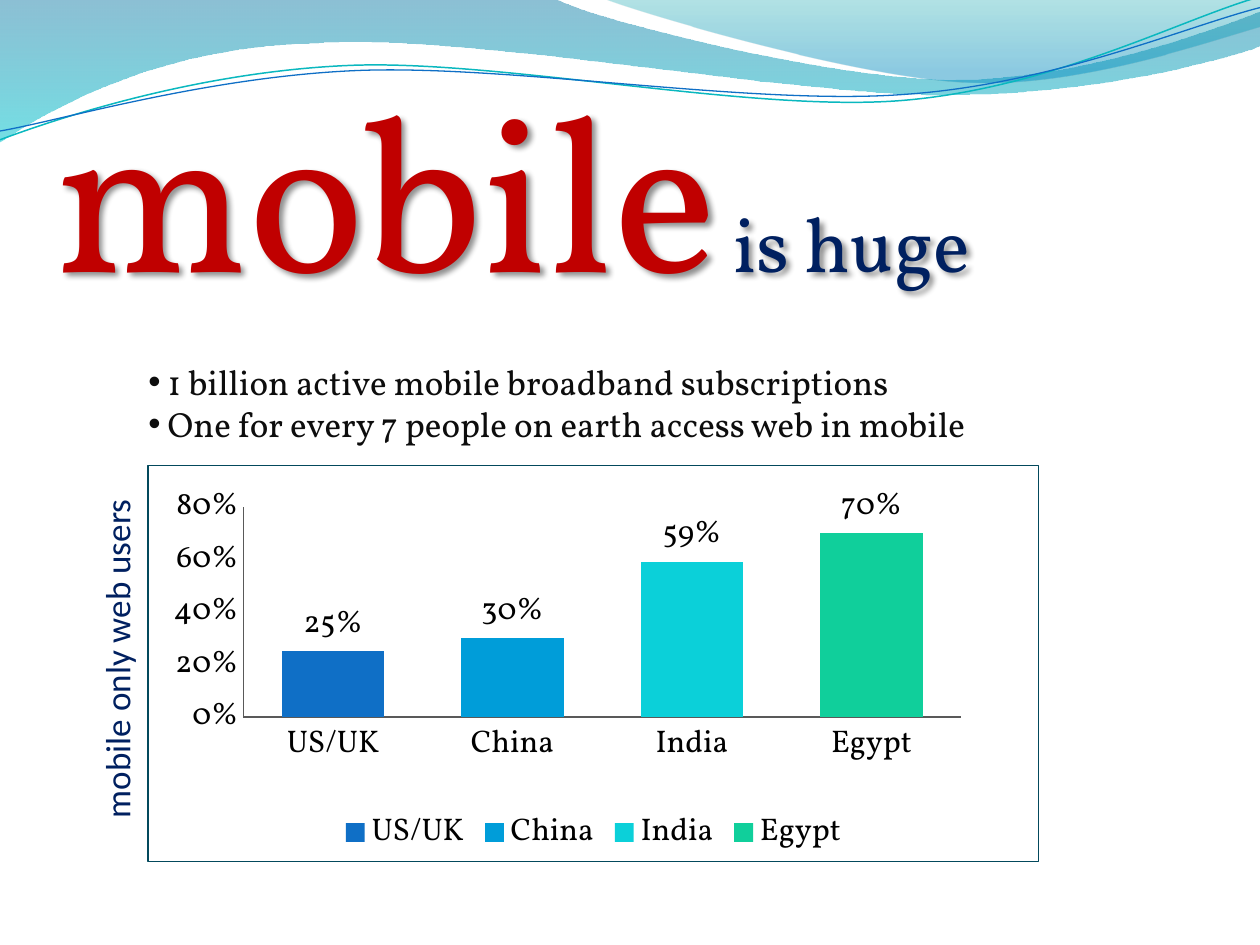
from dataclasses import dataclass
from math import cos, radians, sin

from lxml.etree import SubElement
from pptx import Presentation
from pptx.chart.data import CategoryChartData
from pptx.dml.color import RGBColor
from pptx.enum.chart import XL_CHART_TYPE as ChartType
from pptx.enum.chart import XL_LABEL_POSITION as LabelPosition
from pptx.enum.chart import XL_LEGEND_POSITION as LegendPosition
from pptx.enum.chart import XL_TICK_MARK as TickMark
from pptx.enum.text import MSO_ANCHOR as Anchor
from pptx.enum.text import MSO_AUTO_SIZE as AutoSize
from pptx.enum.text import PP_ALIGN as Align
from pptx.oxml import parse_xml
from pptx.oxml.ns import nsdecls, qn
from pptx.util import Inches, Pt


@dataclass(frozen=True)
class Theme:
    serif: str = "Vollkorn"
    sans: str = "Calibri"
    red: str = "C00000"
    navy: str = "002060"
    ink: str = "0D0D0D"
    black: str = "000000"
    axis: str = "595959"
    frame: str = "03495C"
    teal_line: str = "0AB8BF"
    blue_line: str = "0F6FC6"
    bars: tuple = ("0F6FC6", "009DD9", "0BD0D9", "10CF9B")
    hero: int = 125
    headline: int = 44
    body: int = 20
    chart: int = 18


THEME = Theme()

# Each wave: start point, then straight (2 numbers) or cubic (6 numbers) segments.
BROAD_WAVE = [
    (0, 0), (4.4, -0.01), (4.76, 0.17, 6.64, 0.63, 7.58, 0.63),
    (8.53, 0.63, 9.58, 0.26, 10, 0.09), (10.01, 0.36),
    (9.83, 0.44, 8.7, 0.76, 7.46, 0.75), (6.22, 0.75, 3.82, 0.28, 2.57, 0.34),
    (1.29, 0.36, 0.46, 0.83, -0.01, 1.13), (0, 0),
]
CORNER_WAVE = [
    (4.79, -0.01), (5.09, 0.11, 6.82, 0.62, 7.69, 0.65),
    (8.56, 0.69, 9.61, 0.32, 10, 0.21), (10, 0), (4.79, -0.01),
]
TEAL_CURVE = [
    (0, 1.11), (0.48, 0.93, 1.58, 0.57, 2.77, 0.52),
    (3.95, 0.47, 5.93, 0.89, 7.13, 0.8), (8.33, 0.71, 9.38, 0.15, 9.98, -0.02),
]
BLUE_CURVE = [
    (0, 1.04), (0.47, 0.96, 1.64, 0.61, 2.83, 0.56),
    (4.03, 0.51, 5.97, 0.84, 7.17, 0.75), (8.36, 0.67, 9.41, 0.21, 10, 0.06),
]


def rgb(value):
    return RGBColor.from_string(value)


def add_outline(slide, box, segments, closed, rotation=0):
    """Add a curved outline whose points are given as seen after rotation."""
    left, top, width, height = box
    middle_x, middle_y = left + width / 2, top + height / 2
    turn = radians(-rotation)

    def local(x, y):
        dx, dy = x - middle_x, y - middle_y
        return (Inches(width / 2 + dx * cos(turn) - dy * sin(turn)),
                Inches(height / 2 + dx * sin(turn) + dy * cos(turn)))

    builder = slide.shapes.build_freeform(*map(Inches, segments[0]))
    builder.add_line_segments([tuple(map(Inches, segment[-2:]))
                               for segment in segments[1:]], close=closed)
    outline = builder.convert_to_shape()
    outline.shadow.inherit = False
    placement = dict(zip(("left", "top", "width", "height"), map(Inches, box)))
    for name, value in {**placement, "rotation": rotation}.items():
        setattr(outline, name, value)

    contour = outline.element.find(".//" + qn("a:pathLst"))[0]
    contour.set("w", str(Inches(width)))
    contour.set("h", str(Inches(height)))
    for command in list(contour):
        contour.remove(command)
    for index, segment in enumerate(segments):
        tag = "cubicBezTo" if len(segment) == 6 else "lnTo" if index else "moveTo"
        command = SubElement(contour, qn(f"a:{tag}"))
        for x, y in map(local, segment[::2], segment[1::2]):
            SubElement(command, qn("a:pt"), x=str(x), y=str(y))
    if closed:
        SubElement(contour, qn("a:close"))
    return outline


def add_wave(slide, box, segments, stops):
    """Add a wave fading downward; stops are (position, colour, opacity percent)."""
    wave = add_outline(slide, box, segments, True)
    wave.line.fill.background()
    wave.fill.gradient()
    wave.fill.gradient_angle = 270
    for stop, (position, color, _) in zip(wave.fill.gradient_stops, stops):
        stop.position = position
        stop.color.rgb = rgb(color)
    for color, (_, _, opacity) in zip(wave.element.iter(qn("a:srgbClr")), stops):
        SubElement(color, qn("a:alpha"), val=str(opacity * 1000))


def add_curve(slide, box, segments, color, width):
    curve = add_outline(slide, box, segments, False, rotation=357.3)
    curve.fill.background()
    curve.line.color.rgb = rgb(color)
    curve.line.width = Pt(width)


def add_text_frame(slide, box, **frame_format):
    text_box = slide.shapes.add_textbox(*map(Inches, box))
    frame = text_box.text_frame
    for name, value in {"word_wrap": True, **frame_format}.items():
        setattr(frame, name, value)
    return text_box, frame


def add_run(paragraph, text, size, color, font):
    run = paragraph.add_run()
    run.text = text
    run.font.size, run.font.name = Pt(size), font
    run.font.color.rgb = rgb(color)


def add_headline(slide):
    headline, frame = add_text_frame(slide, (0.34, 0.38, 7.49, 2.2),
                                     auto_size=AutoSize.SHAPE_TO_FIT_TEXT)
    headline.element.spPr.append(parse_xml(
        f'<a:effectLst {nsdecls("a")}><a:outerShdw blurRad="38100" dist="38100" '
        'dir="2700000" algn="tl"><a:srgbClr val="000000"><a:alpha val="43000"/>'
        '</a:srgbClr></a:outerShdw></a:effectLst>'))
    line = frame.paragraphs[0]
    add_run(line, "mobile", THEME.hero, THEME.red, THEME.serif)
    add_run(line, " is huge", THEME.headline, THEME.navy, THEME.serif)


def add_bullets(slide, facts):
    _, frame = add_text_frame(slide, (1.08, 2.81, 6.75, 0.77),
                              auto_size=AutoSize.SHAPE_TO_FIT_TEXT)
    for index, fact in enumerate(facts):
        paragraph = frame.add_paragraph() if index else frame.paragraphs[0]
        properties = paragraph._p.get_or_add_pPr()
        SubElement(properties, qn("a:buFont"), typeface="Arial")
        SubElement(properties, qn("a:buChar"), char="•")
        add_run(paragraph, fact, THEME.body, THEME.ink, THEME.serif)


def add_side_label(slide, text):
    label, frame = add_text_frame(
        slide, (-0.58, 5.02, 2.92, 0.42), vertical_anchor=Anchor.BOTTOM,
        margin_left=0, margin_right=0, margin_top=Inches(0.05), margin_bottom=0)
    label.rotation = 270
    frame.paragraphs[0].alignment = Align.CENTER
    add_run(frame.paragraphs[0], text, THEME.body, THEME.navy, THEME.sans)


def place_plot(chart, **layout):
    """Fix the inner plot area as fractions of the chart."""
    area = chart.element.find(".//" + qn("c:plotArea"))
    for automatic in area.findall(qn("c:layout")):
        area.remove(automatic)
    settings = {"layoutTarget": "inner", "xMode": "edge", "yMode": "edge", **layout}
    items = "".join(f'<c:{name} val="{value}"/>' for name, value in settings.items())
    area.insert(0, parse_xml(f'<c:layout {nsdecls("c")}><c:manualLayout>{items}'
                             '</c:manualLayout></c:layout>'))


def frame_chart(chart, color, width):
    chart.element.find(qn("c:chart")).addnext(parse_xml(
        f'<c:spPr {nsdecls("c", "a")}><a:noFill/><a:ln w="{Pt(width)}"><a:solidFill>'
        f'<a:srgbClr val="{color}"/></a:solidFill></a:ln></c:spPr>'))


def add_usage_chart(slide, shares):
    data = CategoryChartData(number_format="0%")
    data.categories = list(shares)
    data.add_series("Series 1", list(shares.values()))
    box = map(Inches, (1.17, 3.69, 7.08, 3.15))
    chart = slide.shapes.add_chart(ChartType.COLUMN_CLUSTERED, *box, data).chart
    chart.font.size, chart.font.name = Pt(THEME.chart), THEME.serif
    chart.font.color.rgb = rgb(THEME.black)
    chart.has_title = False
    chart.has_legend = True
    chart.legend.position = LegendPosition.BOTTOM
    chart.legend.include_in_layout = False

    for axis in (chart.category_axis, chart.value_axis):
        axis.major_tick_mark = axis.minor_tick_mark = TickMark.NONE
        axis.has_major_gridlines = False
        axis.format.line.color.rgb = rgb(THEME.axis)
    scale = {"minimum_scale": 0, "maximum_scale": 0.8, "major_unit": 0.2}
    for name, value in scale.items():
        setattr(chart.value_axis, name, value)
    chart.value_axis.tick_labels.number_format = "0%"
    chart.value_axis.tick_labels.number_format_is_linked = False

    plot = chart.plots[0]
    plot.gap_width = 75
    plot.vary_by_categories = True
    plot.has_data_labels = True
    label_format = {"show_value": True, "number_format": "0%",
                    "number_format_is_linked": False,
                    "position": LabelPosition.OUTSIDE_END}
    for name, value in label_format.items():
        setattr(plot.data_labels, name, value)
    for index, color in enumerate(THEME.bars):
        fill = plot.series[0].points[index].format.fill
        fill.solid()
        fill.fore_color.rgb = rgb(color)
    place_plot(chart, x=0.107, y=0.105, w=0.806, h=0.531)
    frame_chart(chart, THEME.frame, 0.75)


def main():
    deck = Presentation()
    deck.slide_width, deck.slide_height = Inches(10), Inches(7.5)
    slide = deck.slides.add_slide(deck.slide_layouts[6])
    add_wave(slide, (-0.01, -0.01, 10.02, 1.14), BROAD_WAVE,
             [(0, "0074A1", 45), (1, "00C6CF", 55)])
    add_wave(slide, (4.79, -0.01, 5.21, 0.7), CORNER_WAVE,
             [(0, "00A1A9", 30), (0.8, "008BBF", 45)])
    add_curve(slide, (-0.02, 0.22, 10.02, 0.71), TEAL_CURVE, THEME.teal_line, 0.85)
    add_curve(slide, (-0.02, 0.3, 10.03, 0.58), BLUE_CURVE, THEME.blue_line, 0.75)
    add_headline(slide)
    add_bullets(slide, [" 1 billion active mobile broadband subscriptions",
                        " One for every 7 people on earth access web in mobile"])
    add_usage_chart(slide, {"US/UK": 0.25, "China": 0.3, "India": 0.59, "Egypt": 0.7})
    add_side_label(slide, "mobile only web users")
    deck.save("out.pptx")


if __name__ == "__main__":
    main()
